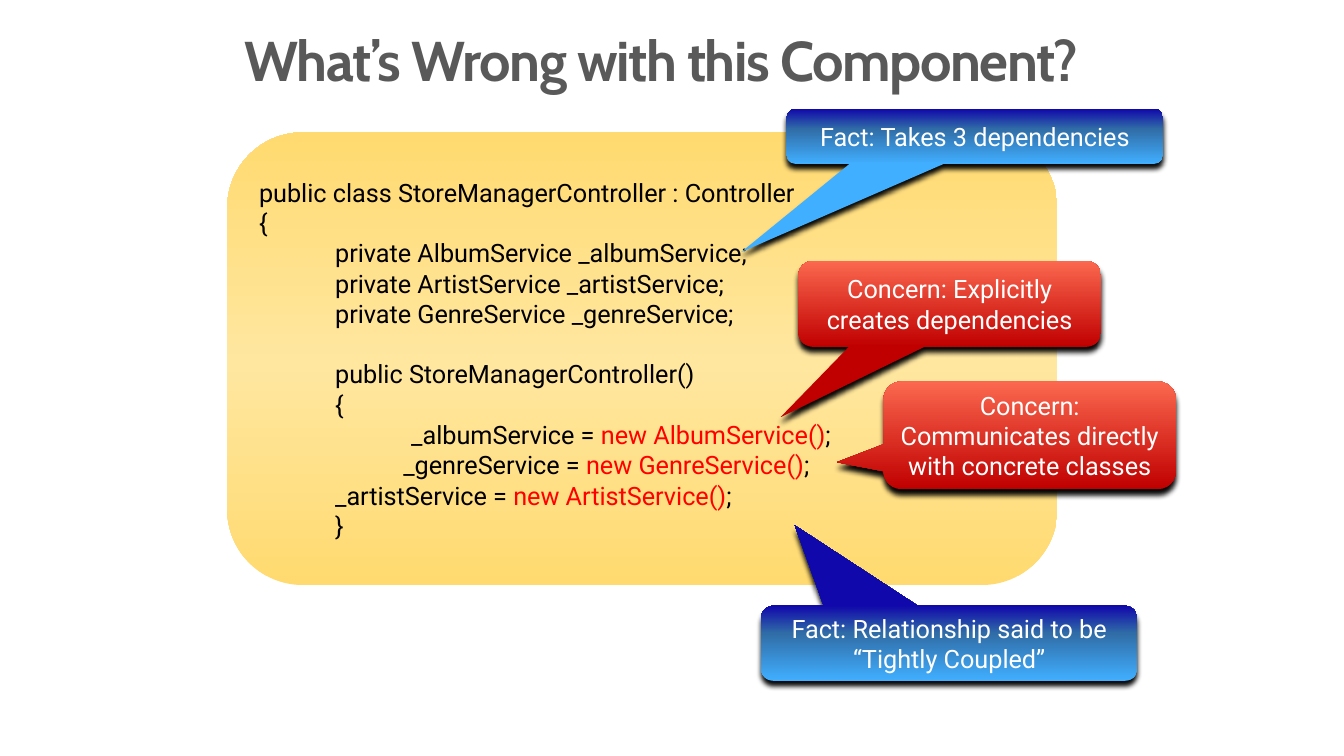
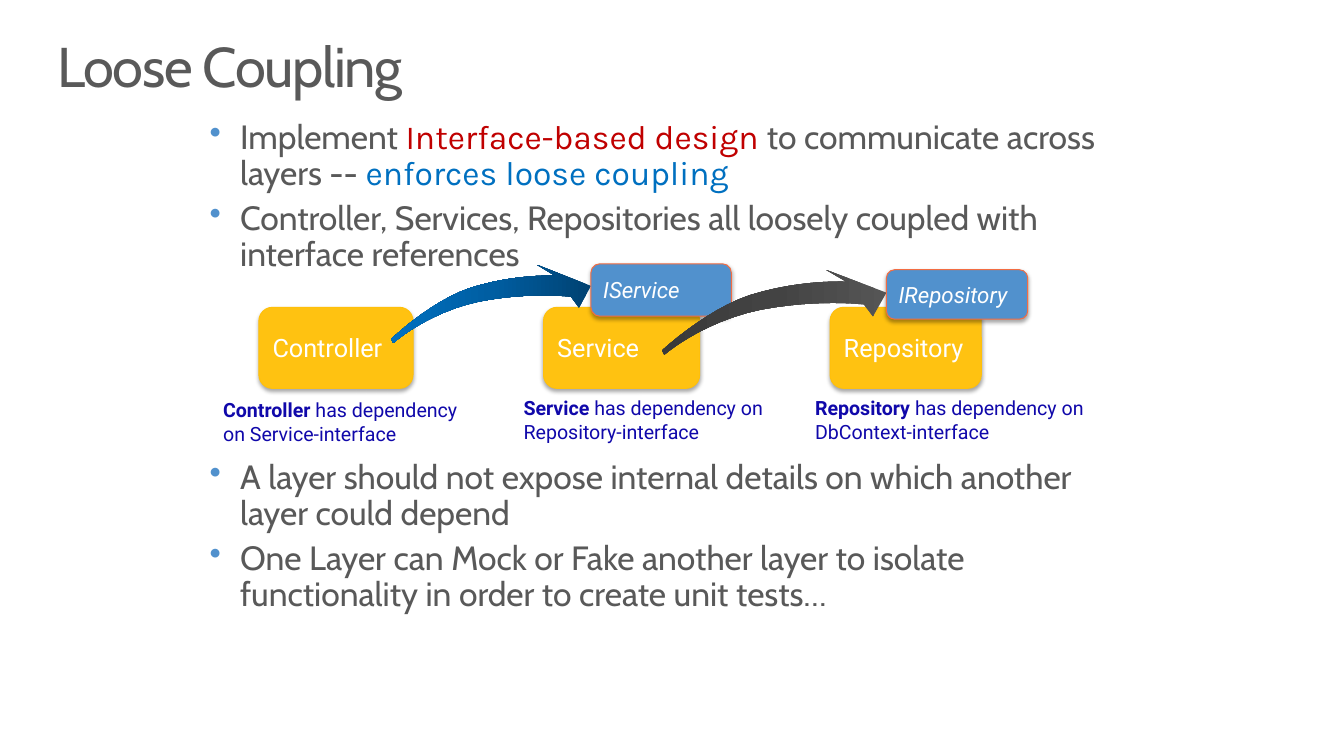
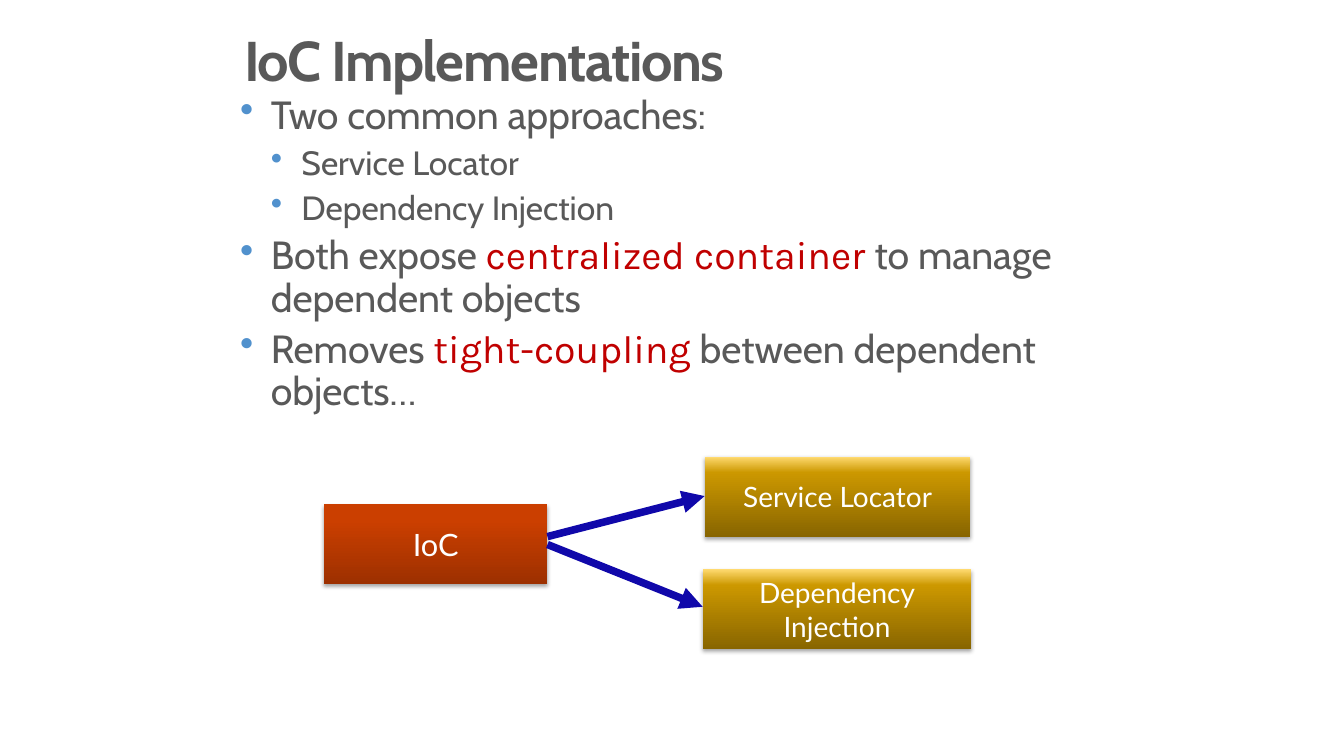
from pptx import Presentation
from pptx.dml.color import RGBColor
from pptx.enum.shapes import MSO_CONNECTOR, MSO_SHAPE
from pptx.enum.text import MSO_ANCHOR, MSO_AUTO_SIZE, PP_ALIGN
from pptx.oxml import parse_xml
from pptx.oxml.ns import nsdecls, qn
from pptx.util import Inches, Pt

# Shared style
COLORS = {
    "gray": "595959", "white": "FFFFFF", "black": "000000", "code": "FF0000",
    "crimson": "C00000", "blue": "0070C0", "navy": "1008AA", "bullet": "5191CD",
    "amber": "FFC211", "amber_line": "FFC00B", "coral": "F36D43",
}
GRADIENTS = {
    "card": [(0, "FFDA70"), (49, "FFE7A0"), (100, "FFDA70")],
    "fact": [(0, "40AFFF"), (63, "306DA7"), (100, "1008AA")],
    "concern": [(0, "C00000"), (100, "FB684F")],
    "blue_arrow": [(0, "004272"), (50, "005EA2"), (100, "0070C0")],
    "gray_arrow": [(0, "555555"), (50, "434343"), (100, "3A3A3A")],
    "rust": [(0, "9D3000"), (80, "CB3F00"), (100, "CC3F00")],
    "gold": [(0, "886500"), (80, "CC9800"), (100, "FFDA70")],
}
# Opacity in percent, then blur and distance in points
SHADOWS = {"strong": (96, 4, 4), "soft": (35, 3.1, 1.8)}
HEADING, ACCENT, BODY, DIAGRAM = "Cabin", "Karla", "Roboto", "Lato"
RED_ACCENT = {"name": ACCENT, "color": "crimson"}
BLUE_ACCENT = {"name": ACCENT, "color": "blue"}

# Slide 1: indent in inches, then the pieces of the line
CODE_INDENT = 0.77
NEW = {"color": "code"}
CODE_LINES = [
    (0, ["public class StoreManagerController : Controller"]),
    (0, ["{"]),
    (CODE_INDENT, ["private AlbumService _albumService;"]),
    (CODE_INDENT, ["private ArtistService _artistService;"]),
    (CODE_INDENT, ["private GenreService _genreService;"]),
    (CODE_INDENT, ["public StoreManagerController()"]),
    (CODE_INDENT, ["{"]),
    (2 * CODE_INDENT, ["_albumService = ", ("new AlbumService()", NEW), ";"]),
    (1.46, ["_genreService = ", ("new GenreService()", NEW), ";"]),
    (CODE_INDENT, ["_artistService = ", ("new ArtistService()", NEW), ";"]),
    (CODE_INDENT, ["}"]),
]
CONSTRUCTOR_LINE = 5
CALLOUTS = [
    ("Fact: Takes 3 dependencies", "fact", (7.96, 1.1, 3.81, 0.56), (-0.62, 2.09)),
    ("Concern: Explicitly creates dependencies", "concern",
     (8.08, 2.64, 3.06, 0.87), (-0.56, 1.32)),
    ("Concern: Communicates directly with concrete classes", "concern",
     (8.94, 3.86, 2.96, 1.09), (-0.66, 0.25)),
    ("Fact: Relationship said to be “Tightly Coupled”", "fact",
     (7.7, 6.13, 3.81, 0.76), (-0.41, -1.57)),
]

# Slide 2
COUPLING_BULLETS = [
    (1.22, [
        (1, ["Implement ", ("Interface-based design ", RED_ACCENT),
             "to communicate across layers -- ",
             ("enforces loose coupling", BLUE_ACCENT)]),
        (1, ["Controller, Services, Repositories all loosely coupled with "
             "interface references"]),
    ]),
    (4.66, [
        (1, ["A layer should not expose internal details on which another "
             "layer could depend"]),
        (1, ["One Layer can Mock or Fake another layer to isolate "
             "functionality in order to create unit tests…"]),
    ]),
]
LAYERS = [("Service", 5.5, 1.58), ("Controller", 2.62, 1.56), ("Repository", 8.4, 1.53)]
INTERFACES = [("IService", (5.98, 2.67, 1.42, 0.53)),
              ("IRepository", (8.97, 2.73, 1.43, 0.5))]
CAPTIONS = [
    ("Controller", " has dependency on Service-interface", (2.16, 3.98, 2.7, 0.59)),
    ("Service", " has dependency on Repository-interface", (5.2, 3.96, 2.83, 0.59)),
    ("Repository", " has dependency on DbContext-interface", (8.15, 3.96, 3.16, 0.59)),
]
CURVED_ARROWS = [("blue_arrow", (3.96, 2.68, 2.02, 0.79)),
                 ("gray_arrow", (6.7, 2.73, 2.27, 0.86))]
# Outline in fractions of the arrow's box: one point is a line, three are a curve
ARROW_START = (0, 0.95)
ARROW_SEGMENTS = [
    [(0, 0.95), (0.19, 0.48), (0.39, 0.3)],
    [(0.62, 0.11), (0.82, 0.14), (0.82, 0.14)],
    [(0.73, 0)], [(1, 0.27)], [(0.94, 0.55)], [(0.9, 0.41)],
    [(0.9, 0.41), (0.7, 0.34), (0.44, 0.47)],
    [(0.18, 0.61), (0.01, 1), (0.01, 1)],
]
CURVE_STEPS = 12

# Slide 3
IOC_BULLETS = [
    (2, ["Two common approaches:"]),
    (3, ["Service Locator"]),
    (3, ["Dependency Injection"]),
    (2, ["Both expose ", ("centralized container ", RED_ACCENT),
         "to manage dependent objects"]),
    (2, ["Removes ", ("tight-coupling", RED_ACCENT), " between dependent objects…"]),
]
IOC_BOXES = [
    ("IoC", "rust", (3.28, 5.1, 2.26, 0.81), 22.4),
    ("Service Locator", "gold", (7.13, 4.62, 2.69, 0.81), 20.4),
    ("Dependency\nInjection", "gold", (7.11, 5.76, 2.72, 0.81), 20.4),
]
IOC_ARROWS = [((5.54, 5.43), (7.13, 5.02)), ((5.54, 5.51), (7.11, 6.14))]


def inches(values):
    return [Inches(value) for value in values]


def set_font(font, name=None, size=None, color=None, bold=None, italic=None):
    if name:
        font.name = name
    if size:
        font.size = Pt(size)
    if color:
        font.color.rgb = RGBColor.from_string(COLORS[color])
    if bold is not None:
        font.bold = bold
    if italic is not None:
        font.italic = italic


def add_pieces(paragraph, pieces):
    """Add runs; a piece is a string or a (string, font changes) pair."""
    for piece in pieces:
        text, changes = (piece, {}) if isinstance(piece, str) else piece
        run = paragraph.add_run()
        run.text = text
        set_font(run.font, **changes)


def next_paragraph(frame, index):
    return frame.add_paragraph() if index else frame.paragraphs[0]


def remove_margins(frame):
    frame.margin_left = frame.margin_top = frame.margin_right = frame.margin_bottom = 0


def set_gradient(shape, name, angle=270):
    stops = "".join(
        f'<a:gs pos="{position * 1000}"><a:srgbClr val="{color}"/></a:gs>'
        for position, color in GRADIENTS[name])
    gradient = parse_xml(
        f'<a:gradFill {nsdecls("a")} rotWithShape="1"><a:gsLst>{stops}</a:gsLst>'
        f'<a:lin ang="{angle * 60000}" scaled="0"/></a:gradFill>')
    shape.fill.background()
    properties = shape._element.spPr
    properties.replace(properties.find(qn("a:noFill")), gradient)


def finish_shape(shape, fill, line=None, shadow=None, angle=270):
    """Set fill (colour or gradient name), outline and shadow."""
    if fill in GRADIENTS:
        set_gradient(shape, fill, angle)
    else:
        shape.fill.solid()
        shape.fill.fore_color.rgb = RGBColor.from_string(COLORS[fill])
    if line:
        shape.line.color.rgb = RGBColor.from_string(COLORS[line])
        shape.line.width = Pt(0.75)
    else:
        shape.line.fill.background()
    shape.shadow.inherit = False
    if shadow:
        opacity, blur, distance = SHADOWS[shadow]
        shape._element.spPr.find(qn("a:effectLst")).append(parse_xml(
            f'<a:outerShdw {nsdecls("a")} blurRad="{Pt(blur)}" dist="{Pt(distance)}" '
            f'dir="5400000" algn="t" rotWithShape="0"><a:srgbClr val="{COLORS["black"]}">'
            f'<a:alpha val="{opacity * 1000}"/></a:srgbClr></a:outerShdw>'))


def add_box(slide, kind, box, fill, text="", align=PP_ALIGN.CENTER, line=None,
            shadow=None, **font):
    shape = slide.shapes.add_shape(kind, *inches(box))
    finish_shape(shape, fill, line, shadow)
    frame = shape.text_frame
    frame.word_wrap = True
    frame.vertical_anchor = MSO_ANCHOR.MIDDLE
    frame.text = text
    for paragraph in frame.paragraphs:
        paragraph.alignment = align
        set_font(paragraph.font, **font)
    return shape


def add_titled_slide(presentation, title, box=(2.47, 0.34, 8.67, 1.14), bold=True):
    slide = presentation.slides.add_slide(presentation.slide_layouts[5])
    shape = slide.shapes.title
    shape.left, shape.top, shape.width, shape.height = inches(box)
    frame = shape.text_frame
    frame.text = title
    frame.word_wrap = True
    frame.auto_size = MSO_AUTO_SIZE.NONE
    frame.vertical_anchor = MSO_ANCHOR.TOP
    remove_margins(frame)
    paragraph = frame.paragraphs[0]
    paragraph.alignment = PP_ALIGN.LEFT
    paragraph.line_spacing = 0.9
    set_font(paragraph.font, HEADING, 40.8, "gray", bold)
    paragraph._p.pPr.find(qn("a:defRPr")).set("spc", "-100")
    return slide


def add_bullets(slide, box, items, sizes):
    """Add bullets; each level is one step further in, with its own size."""
    frame = slide.shapes.add_textbox(*inches(box)).text_frame
    frame.word_wrap = True
    remove_margins(frame)
    step = Inches(0.31)
    for index, (level, pieces) in enumerate(items):
        paragraph = next_paragraph(frame, index)
        properties = paragraph._p.get_or_add_pPr()
        properties.set("marL", str(step * level))
        properties.set("indent", str(-step))
        properties.append(parse_xml(
            f'<a:buClr {nsdecls("a")}><a:srgbClr val="{COLORS["bullet"]}"/></a:buClr>'))
        properties.append(parse_xml(f'<a:buChar {nsdecls("a")} char="•"/>'))
        paragraph.line_spacing = 0.9
        if index:
            paragraph.space_before = Pt(6.1)
        set_font(paragraph.font, HEADING, sizes[level], "gray")
        add_pieces(paragraph, pieces)


def curve_points(start, first, second, end):
    """Points along a cubic curve, without its start."""
    for step in range(1, CURVE_STEPS + 1):
        t = step / CURVE_STEPS
        weights = ((1 - t) ** 3, 3 * t * (1 - t) ** 2, 3 * t * t * (1 - t), t ** 3)
        corners = (start, first, second, end)
        yield tuple(sum(weight * corner[axis] for weight, corner in zip(weights, corners))
                    for axis in (0, 1))


def add_curved_arrow(slide, fill, box):
    left, top, width, height = box
    points = [ARROW_START]
    for segment in ARROW_SEGMENTS:
        points += segment if len(segment) == 1 else curve_points(points[-1], *segment)
    outline = [(Inches(left + x * width), Inches(top + y * height)) for x, y in points]
    builder = slide.shapes.build_freeform(*outline[0])
    builder.add_line_segments(outline[1:], close=True)
    finish_shape(builder.convert_to_shape(), fill, angle=180)


def add_straight_arrow(slide, start, end):
    arrow = slide.shapes.add_connector(MSO_CONNECTOR.STRAIGHT, *inches(start + end))
    arrow.line.color.rgb = RGBColor.from_string(COLORS["navy"])
    arrow.line.width = Pt(5.5)
    properties = arrow._element.spPr
    properties.find(qn("a:ln")).append(
        parse_xml(f'<a:tailEnd {nsdecls("a")} type="triangle"/>'))
    properties.append(parse_xml(f'<a:effectLst {nsdecls("a")}/>'))


def build_component_slide(presentation):
    slide = add_titled_slide(presentation, "What’s Wrong with this Component?")
    # Code card
    card = add_box(slide, MSO_SHAPE.ROUNDED_RECTANGLE, (2.3, 1.34, 8.4, 4.58), "card")
    for index, (indent, pieces) in enumerate(CODE_LINES):
        paragraph = next_paragraph(card.text_frame, index)
        paragraph._p.get_or_add_pPr().set("marL", str(Inches(indent)))
        paragraph.alignment = PP_ALIGN.LEFT
        if index == CONSTRUCTOR_LINE:
            paragraph.space_before = Pt(22)
        set_font(paragraph.font, BODY, 18.4, "black")
        add_pieces(paragraph, pieces)
    # Callouts
    for text, fill, box, pointer in CALLOUTS:
        callout = add_box(slide, MSO_SHAPE.ROUNDED_RECTANGULAR_CALLOUT, box, fill, text,
                          shadow="strong", name=BODY, size=18.4, color="white")
        callout.adjustments[0], callout.adjustments[1] = pointer


def build_coupling_slide(presentation):
    slide = add_titled_slide(presentation, "Loose Coupling", (0.58, 0.4, 12.44, 0.62), False)
    for top, items in COUPLING_BULLETS:
        add_bullets(slide, (2.12, top, 9.32, 1.5), items, {1: 24.5})
    # Layers and their interfaces
    box_style = {"align": PP_ALIGN.LEFT, "shadow": "soft", "name": BODY, "color": "white"}
    for text, left, width in LAYERS:
        add_box(slide, MSO_SHAPE.ROUNDED_RECTANGLE, (left, 3.11, width, 0.82), "amber",
                text, line="amber_line", size=18.4, **box_style)
    for text, box in INTERFACES:
        add_box(slide, MSO_SHAPE.ROUNDED_RECTANGLE, box, "bullet", text, line="coral",
                size=16.3, italic=True, **box_style)
    # Captions
    for layer, rest, box in CAPTIONS:
        frame = slide.shapes.add_textbox(*inches(box)).text_frame
        frame.word_wrap = True
        paragraph = frame.paragraphs[0]
        set_font(paragraph.font, BODY, 14.3, "navy")
        add_pieces(paragraph, [(layer, {"bold": True}), rest])
    for fill, box in CURVED_ARROWS:
        add_curved_arrow(slide, fill, box)


def build_ioc_slide(presentation):
    slide = add_titled_slide(presentation, "IoC Implementations")
    add_bullets(slide, (2.12, 0.97, 9.59, 3.4), IOC_BULLETS, {2: 28.6, 3: 24.5})
    # Diagram
    for text, fill, box, size in IOC_BOXES:
        add_box(slide, MSO_SHAPE.RECTANGLE, box, fill, text, shadow="soft",
                name=DIAGRAM, size=size, color="white")
    for start, end in IOC_ARROWS:
        add_straight_arrow(slide, start, end)


def main():
    presentation = Presentation()
    presentation.slide_width, presentation.slide_height = inches((13.6, 7.65))
    build_component_slide(presentation)
    build_coupling_slide(presentation)
    build_ioc_slide(presentation)
    presentation.save("out.pptx")


if __name__ == "__main__":
    main()
